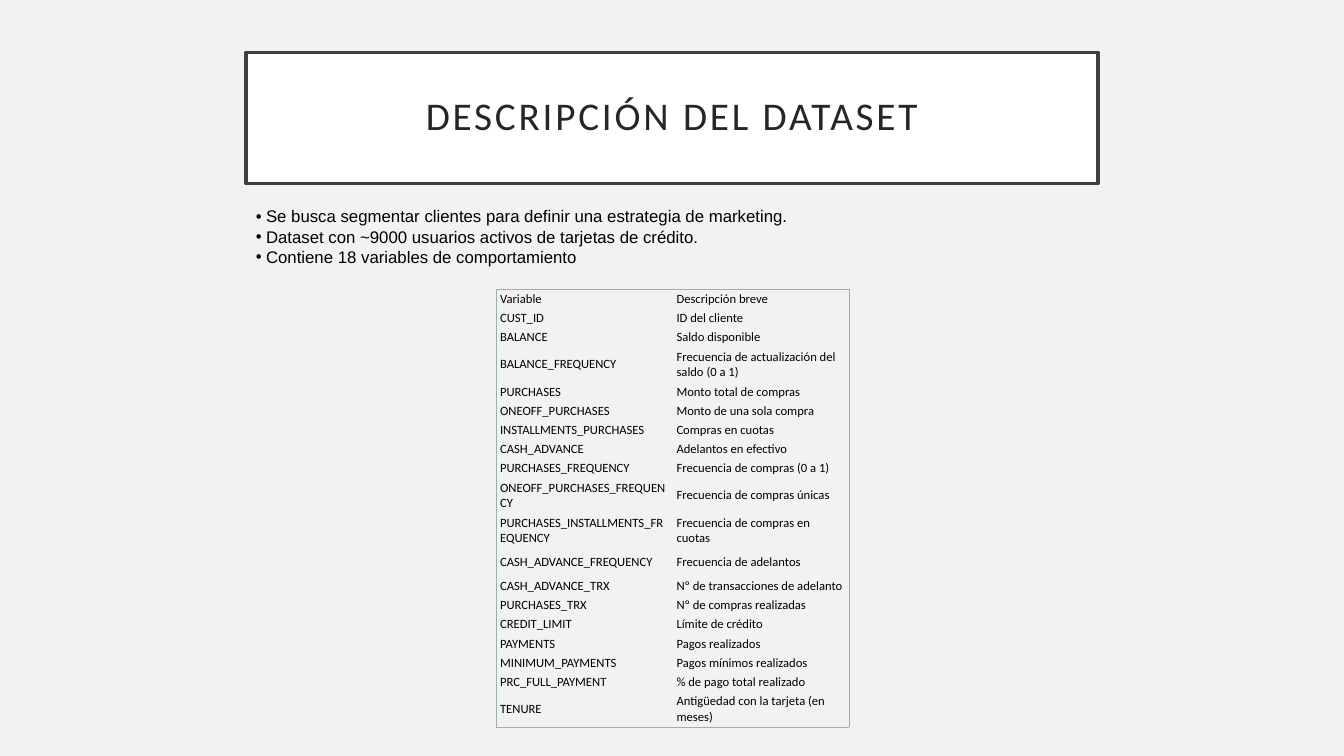
"""Build the slide that describes the credit card dataset."""
from dataclasses import dataclass

from lxml import etree
from pptx import Presentation
from pptx.dml.color import RGBColor
from pptx.enum.shapes import MSO_SHAPE
from pptx.enum.text import MSO_ANCHOR, PP_ALIGN
from pptx.oxml.ns import qn
from pptx.util import Inches, Pt

RECTANGLE = MSO_SHAPE.RECTANGLE
MIDDLE = MSO_ANCHOR.MIDDLE
LEFT, CENTER = PP_ALIGN.LEFT, PP_ALIGN.CENTER
NO_TABLE_STYLE = "{2D5ABB26-0587-4C30-8999-92F81FD0307C}"
BORDER_COLOR = "9BAFB5"
BULLET_INDENT = Inches(0.1)
COLUMN_WIDTH = Inches(1.75)


@dataclass(frozen=True)
class Variable:
    name: str
    description: str
    height: float = 0.19


TITLE_FORMAT = {"size": Pt(28), "name": "Calibri"}
BULLET_FORMAT = {"size": Pt(12), "name": "Arial"}
CELL_FORMAT = {"size": Pt(9), "name": "Calibri"}
CELL_LAYOUT = {
    "vertical_anchor": MIDDLE,
    "margin_left": Inches(0.04),
    "margin_right": Inches(0.04),
    "margin_top": Inches(0.02),
    "margin_bottom": Inches(0.02),
}
TITLE_LAYOUT = {"vertical_anchor": MIDDLE, "word_wrap": True} | {
    f"margin_{side}": Inches(0.2) for side in ("left", "top", "right", "bottom")
}
BULLETS = [
    "Se busca segmentar clientes para definir una estrategia de marketing.",
    "Dataset con ~9000 usuarios activos de tarjetas de crédito.",
    "Contiene 18 variables de comportamiento",
]
VARIABLES = [
    Variable("Variable", "Descripción breve"),
    Variable("CUST_ID", "ID del cliente"),
    Variable("BALANCE", "Saldo disponible"),
    Variable("BALANCE_FREQUENCY", "Frecuencia de actualización del saldo (0 a 1)", 0.35),
    Variable("PURCHASES", "Monto total de compras"),
    Variable("ONEOFF_PURCHASES", "Monto de una sola compra"),
    Variable("INSTALLMENTS_PURCHASES", "Compras en cuotas"),
    Variable("CASH_ADVANCE", "Adelantos en efectivo"),
    Variable("PURCHASES_FREQUENCY", "Frecuencia de compras (0 a 1)"),
    Variable("ONEOFF_PURCHASES_FREQUENCY", "Frecuencia de compras únicas", 0.35),
    Variable("PURCHASES_INSTALLMENTS_FREQUENCY", "Frecuencia de compras en cuotas", 0.35),
    Variable("CASH_ADVANCE_FREQUENCY", "Frecuencia de adelantos", 0.28),
    Variable("CASH_ADVANCE_TRX", "Nº de transacciones de adelanto"),
    Variable("PURCHASES_TRX", "Nº de compras realizadas"),
    Variable("CREDIT_LIMIT", "Límite de crédito"),
    Variable("PAYMENTS", "Pagos realizados"),
    Variable("MINIMUM_PAYMENTS", "Pagos mínimos realizados"),
    Variable("PRC_FULL_PAYMENT", "% de pago total realizado"),
    Variable("TENURE", "Antigüedad con la tarjeta (en meses)", 0.35),
]


def color(value: str) -> RGBColor:
    """Turn a hex string into a colour."""
    return RGBColor.from_string(value)


def apply_values(target, values: dict) -> None:
    """Set every attribute named in the dict."""
    for name, value in values.items():
        setattr(target, name, value)


def write(para, text: str, font_format: dict, font_color: str, align=LEFT):
    """Add one formatted span to a paragraph."""
    para.alignment = align
    span = para.add_run()
    span.text = text
    apply_values(span.font, font_format)
    span.font.color.rgb = color(font_color)
    return span


def add_title(page) -> None:
    """Draw the framed title."""
    box = page.shapes.add_shape(
        RECTANGLE, Inches(2.44), Inches(0.52), Inches(8.45), Inches(1.3)
    )
    box.shadow.inherit = False
    box.fill.solid()
    box.fill.fore_color.rgb = color("FFFFFF")
    box.line.color.rgb = color("404040")
    box.line.width = Pt(2.5)
    apply_values(box.text_frame, TITLE_LAYOUT)
    para = box.text_frame.paragraphs[0]
    para.line_spacing = 0.9
    span = write(para, "DESCRIPCIÓN DEL DATASET", TITLE_FORMAT, "262626", CENTER)
    span.font._element.set("spc", "200")


def add_bullets(page) -> None:
    """Write the bulleted summary."""
    box = page.shapes.add_textbox(Inches(2.44), Inches(1.99), Inches(5.85), Inches(0.71))
    frame = box.text_frame
    apply_values(frame, {"word_wrap": True, "vertical_anchor": MIDDLE})
    for index, text in enumerate(BULLETS):
        para = frame.add_paragraph() if index else frame.paragraphs[0]
        write(para, text, BULLET_FORMAT, "000000")
        properties = para._p.get_or_add_pPr()
        properties.set("marL", str(BULLET_INDENT))
        properties.set("indent", str(-BULLET_INDENT))
        etree.SubElement(properties, qn("a:buFont")).set("typeface", "Arial")
        etree.SubElement(properties, qn("a:buChar")).set("char", "•")


def add_borders(cell, sides: list[str]) -> None:
    """Put thin lines on the given cell sides, ahead of the fill."""
    properties = cell._tc.get_or_add_tcPr()
    for position, side in enumerate(sides):
        line = etree.Element(qn(f"a:ln{side}"), w=str(Pt(0.5)))
        fill = etree.SubElement(line, qn("a:solidFill"))
        etree.SubElement(fill, qn("a:srgbClr")).set("val", BORDER_COLOR)
        properties.insert(position, line)


def add_variables(page) -> None:
    """Draw the table of variables with an outer frame."""
    total = sum(variable.height for variable in VARIABLES)
    holder = page.shapes.add_table(
        len(VARIABLES), 2, Inches(4.92), Inches(2.87), 2 * COLUMN_WIDTH, Inches(total)
    )
    table = holder.table
    apply_values(table, {"first_row": False, "horz_banding": False})
    table._tbl.tblPr.find(qn("a:tableStyleId")).text = NO_TABLE_STYLE
    for column in table.columns:
        column.width = COLUMN_WIDTH
    last = len(VARIABLES) - 1
    for row, variable in enumerate(VARIABLES):
        table.rows[row].height = Inches(variable.height)
        for column, text in enumerate((variable.name, variable.description)):
            cell = table.cell(row, column)
            apply_values(cell, CELL_LAYOUT)
            write(cell.text_frame.paragraphs[0], text, CELL_FORMAT, "000000")
            cell.fill.background()
            edges = {"L": column == 0, "R": column == 1, "T": row == 0, "B": row == last}
            add_borders(cell, [side for side, outer in edges.items() if outer])


def main() -> None:
    """Create and save the deck."""
    deck = Presentation()
    deck.slide_width, deck.slide_height = Inches(13.33), Inches(7.5)
    page = deck.slides.add_slide(deck.slide_layouts[6])
    page.background.fill.solid()
    page.background.fill.fore_color.rgb = color("F2F2F2")
    add_title(page)
    add_bullets(page)
    add_variables(page)
    deck.save("out.pptx")


if __name__ == "__main__":
    main()
